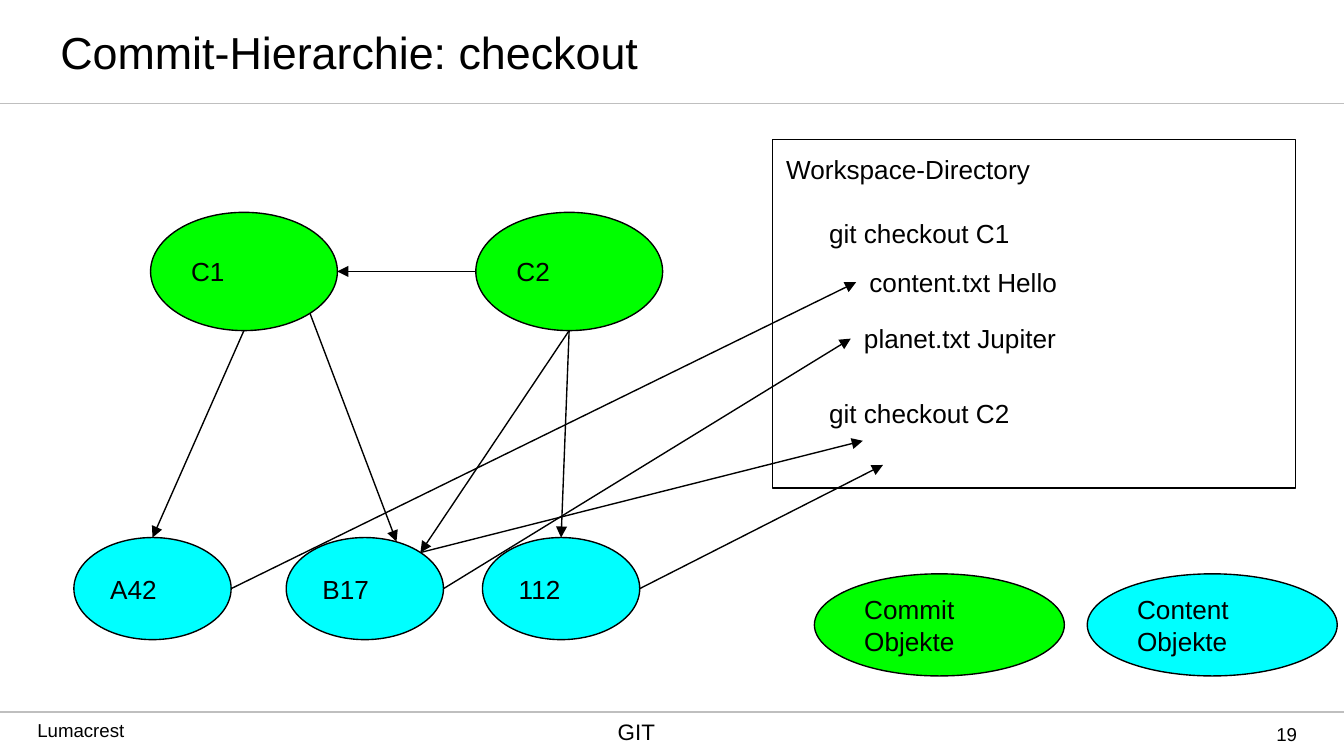
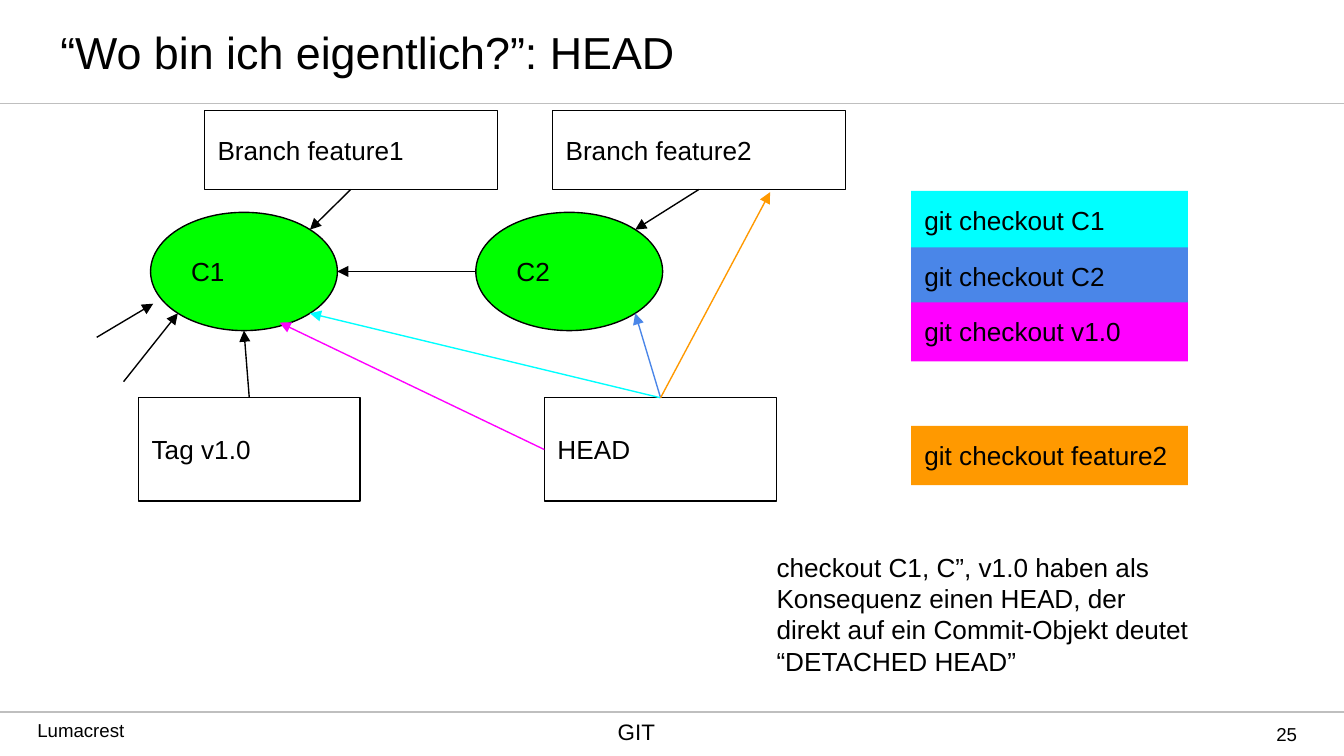
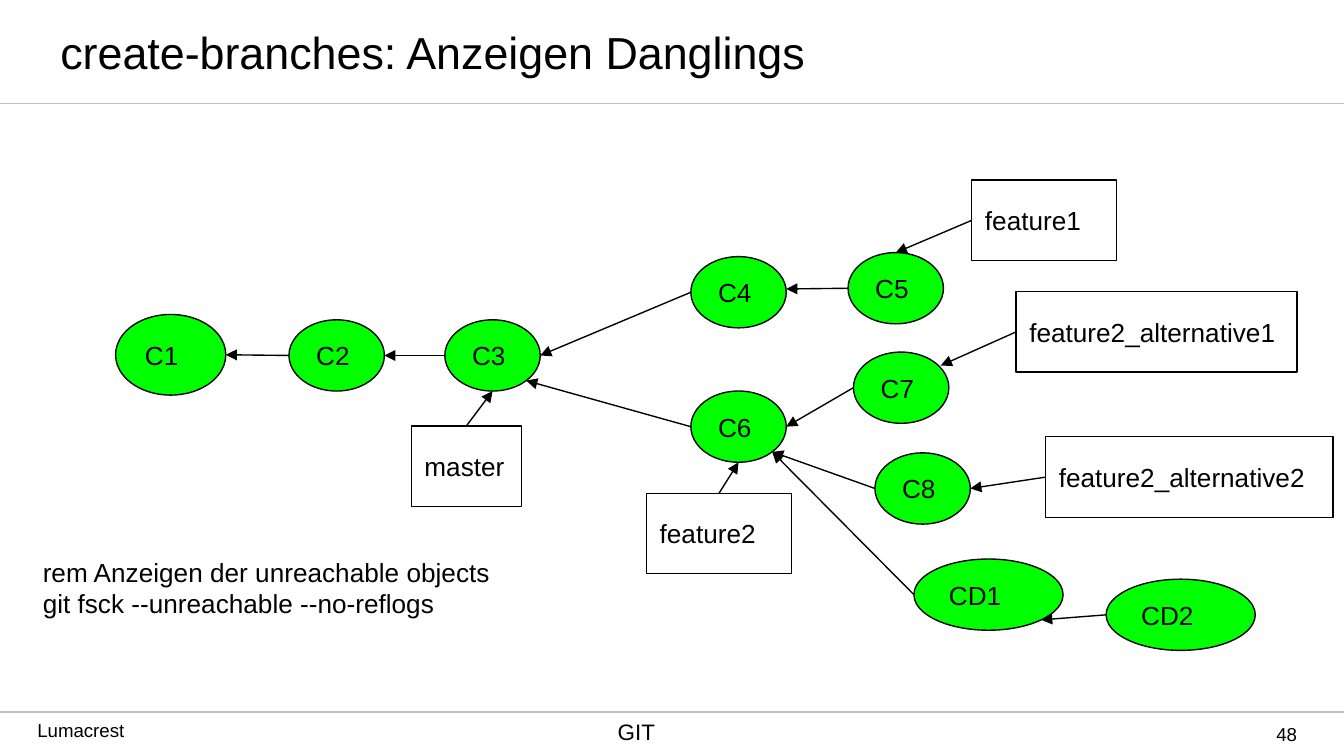
import pptx
import pptx.util
import pptx.dml.color
import pptx.enum.shapes
import pptx.enum.text
import pptx.oxml
import pptx.oxml.ns


class Theme:
    font = "Arial"
    ink, white, rule = "000000", "FFFFFF", "BFBFBF"
    green, cyan, blue = "00FF00", "00FFFF", "4A86E8"
    pink, orange = "FF00FF", "FF9900"
    title, body, foot, small = 24, 14, 12, 10
    edge, band = 0.75, 1


px = 9144
rgb = pptx.dml.color.RGBColor.from_string
shape = pptx.enum.shapes.MSO_SHAPE
mid = pptx.enum.text.MSO_ANCHOR.MIDDLE
top = pptx.enum.text.MSO_ANCHOR.TOP
left, center, right = (
    pptx.enum.text.PP_ALIGN.LEFT,
    pptx.enum.text.PP_ALIGN.CENTER,
    pptx.enum.text.PP_ALIGN.RIGHT,
)


def box(slide, form, place, text, fill=None, edge=None, anchor=mid,
        size=Theme.body, align=left, pad=(10, 10)):
    spot = [n * px for n in place]
    if form is None:
        item = slide.shapes.add_textbox(*spot)
    else:
        item = slide.shapes.add_shape(form, *spot)
        item.shadow.inherit = False
        if fill:
            item.fill.solid()
            item.fill.fore_color.rgb = rgb(fill)
        else:
            item.fill.background()
        if edge:
            item.line.color.rgb = rgb(edge)
            item.line.width = pptx.util.Pt(Theme.edge)
        else:
            item.line.fill.background()
    frame = item.text_frame
    frame.word_wrap = True
    frame.vertical_anchor = anchor
    frame.margin_left = frame.margin_right = pad[0] * px
    frame.margin_top = frame.margin_bottom = pad[1] * px
    for i, words in enumerate(text.split("\n")):
        para = frame.add_paragraph() if i else frame.paragraphs[0]
        para.alignment = align
        run = para.add_run()
        run.text = words
        run.font.name = Theme.font
        run.font.size = pptx.util.Pt(size)
        run.font.color.rgb = rgb(Theme.ink)
    return item


def link(slide, nodes, start, end, color=Theme.ink, width=Theme.edge, head=True):
    ends = []
    for mark in (start, end):
        if isinstance(mark, str):
            name, side = mark.split(":")
            node = nodes[name]
            reach = 0.5 if len(side) == 1 else 0.5 ** 1.5
            across = ("e" in side) - ("w" in side)
            down = ("s" in side) - ("n" in side)
            ends += [int(node.left + node.width * (0.5 + reach * across)),
                     int(node.top + node.height * (0.5 + reach * down))]
        else:
            ends += [n * px for n in mark]
    line = slide.shapes.add_connector(pptx.enum.shapes.MSO_CONNECTOR.STRAIGHT, *ends)
    line.line.color.rgb = rgb(color)
    line.line.width = pptx.util.Pt(width)
    if head:
        tail = pptx.oxml.parse_xml(
            '<a:tailEnd %s type="triangle"/>' % pptx.oxml.ns.nsdecls("a"))
        line.get_or_add_ln().append(tail)
    line._element.spPr.append(
        pptx.oxml.parse_xml("<a:effectLst %s/>" % pptx.oxml.ns.nsdecls("a")))


deck = pptx.Presentation()
deck.slide_width = 1000 * px
deck.slide_height = deck.slide_width * 9 // 16

slides = []
for title, page in (
    ("Commit-Hierarchie: checkout", "19"),
    ("“Wo bin ich eigentlich?”: HEAD", "25"),
    ("create-branches: Anzeigen Danglings", "48"),
):
    slide = deck.slides.add_slide(deck.slide_layouts[6])
    for y in (530, 77):
        link(slide, {}, (0, y), (1000, y), Theme.rule, Theme.band, False)
    box(slide, None, (18, 535, 195, 22), "Lumacrest", anchor=top,
        size=Theme.small, pad=(10, 0))
    box(slide, None, (317, 534, 313, 33), "GIT", anchor=top,
        size=Theme.foot, align=center, pad=(10, 0))
    box(slide, None, (35, 0, 622, 77), title, size=Theme.title, pad=(10, 5))
    box(slide, None, (875, 530, 90, 33), page, size=Theme.small,
        align=right, pad=(0, 0))
    slides.append(slide)
trees, heads, lost = slides

nodes, peers = {}, {}
for name, x in (("A42", 55), ("B17", 213), ("112", 359)):
    nodes[name] = box(trees, shape.OVAL, (x, 400, 117, 76), name, Theme.cyan, Theme.ink)
for name, x, fill in (("Commit", 606, Theme.green), ("Content", 809, Theme.cyan)):
    box(trees, shape.OVAL, (x, 427, 186, 76), name + "\nObjekte", fill, Theme.ink)
for slide, group in ((trees, nodes), (heads, peers)):
    for name, x in (("C1", 112), ("C2", 354)):
        group[name] = box(slide, shape.OVAL, (x, 158, 139, 88), name,
                          Theme.green, Theme.ink)
box(trees, shape.RECTANGLE, (575, 104, 389, 259), "Workspace-Directory",
    edge=Theme.ink, anchor=top)
for text, x, y, w in (
    ("git checkout C1", 607, 152, 221),
    ("content.txt Hello", 637, 188, 191),
    ("planet.txt Jupiter", 633, 230, 191),
    ("git checkout C2", 607, 286, 221),
):
    box(trees, None, (x, y, w, 44), text, anchor=top)
for start, end in (
    ("C1:s", "A42:n"),
    ("C1:se", (295, 403)),
    ("C2:s", "B17:ne"),
    ("C2:s", "112:n"),
    ("C2:w", "C1:e"),
    ("A42:e", (637, 210)),
    ("B17:e", (633, 252)),
    ("B17:ne", (642, 328)),
    ("112:e", (657, 346)),
):
    link(trees, nodes, start, end)

for name, place in (
    ("Tag v1.0", (103, 296, 165, 77)),
    ("Branch feature1", (152, 82, 218, 59)),
    ("Branch feature2", (411, 82, 218, 59)),
    ("HEAD", (405, 296, 173, 77)),
):
    peers[name] = box(heads, shape.RECTANGLE, place, name, Theme.white, Theme.ink)
for target, y, fill in (
    ("C1", 142, Theme.cyan),
    ("C2", 184, Theme.blue),
    ("v1.0", 225, Theme.pink),
    ("feature2", 317, Theme.orange),
):
    box(heads, shape.RECTANGLE, (678, y, 206, 44), "git checkout " + target,
        fill, anchor=top)
for start, end, color in (
    ("C2:w", "C1:e", Theme.ink),
    ("Tag v1.0:n", "C1:s", Theme.ink),
    ("Branch feature1:s", "C1:ne", Theme.ink),
    ("Branch feature2:s", "C2:ne", Theme.ink),
    ((72, 251), (114, 226), Theme.ink),
    ((92, 284), "C1:sw", Theme.ink),
    ("HEAD:n", "C1:se", Theme.cyan),
    ("HEAD:n", "C2:se", Theme.blue),
    ("HEAD:w", (208, 240), Theme.pink),
    ("HEAD:n", (573, 143), Theme.orange),
):
    link(heads, peers, start, end, color)
box(heads, None, (568, 400, 327, 114),
    "checkout C1, C”, v1.0 haben als Konsequenz einen HEAD, der direkt auf "
    "ein Commit-Objekt deutet\n“DETACHED HEAD”", anchor=top)

nodes = {"C1": box(lost, shape.OVAL, (86, 234, 82, 60), "C1", Theme.green, Theme.ink)}
for name, x, y, w in (
    ("C2", 215, 238, 71),
    ("C3", 331, 238, 71),
    ("C4", 514, 191, 71),
    ("C5", 631, 188, 71),
    ("C6", 514, 291, 71),
    ("C7", 635, 262, 71),
    ("C8", 651, 337, 71),
    ("CD1", 680, 416, 111),
    ("CD2", 823, 431, 111),
):
    nodes[name] = box(lost, shape.OVAL, (x, y, w, 53), name, Theme.green, Theme.ink)
for name, x, y, w in (
    ("master", 306, 317, 82),
    ("feature1", 723, 134, 108),
    ("feature2", 481, 367, 108),
    ("feature2_alternative1", 756, 217, 209),
    ("feature2_alternative2", 778, 325, 214),
):
    nodes[name] = box(lost, shape.RECTANGLE, (x, y, w, 60), name, edge=Theme.ink)
for start, end in (
    ("C2:w", "C1:e"),
    ("C3:w", "C2:e"),
    ("master:n", "C3:s"),
    ("C4:w", "C3:e"),
    ("C5:w", (585, 215)),
    ("feature1:w", "C5:n"),
    ("C6:w", "C3:se"),
    ("feature2:n", "C6:s"),
    ("C7:w", "C6:e"),
    ("C8:w", "C6:se"),
    ("feature2_alternative1:w", (700, 272)),
    ("feature2_alternative2:w", "C8:e"),
    ("CD1:w", "C6:se"),
    ("CD2:w", "CD1:se"),
):
    link(lost, nodes, start, end)
box(lost, None, (22, 404, 361, 114),
    "rem Anzeigen der unreachable objects\ngit fsck --unreachable --no-reflogs",
    anchor=top)

deck.save("out.pptx")
